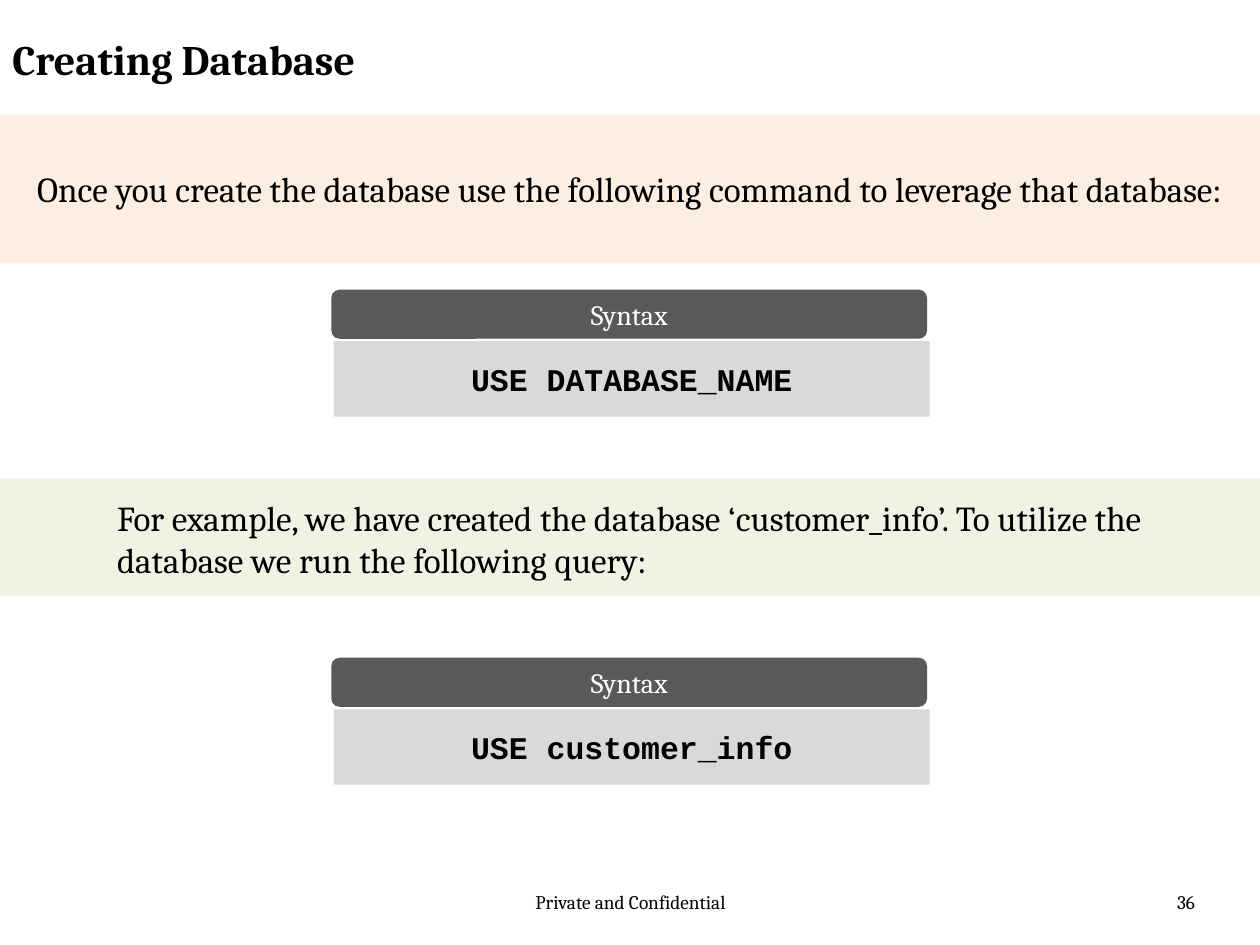
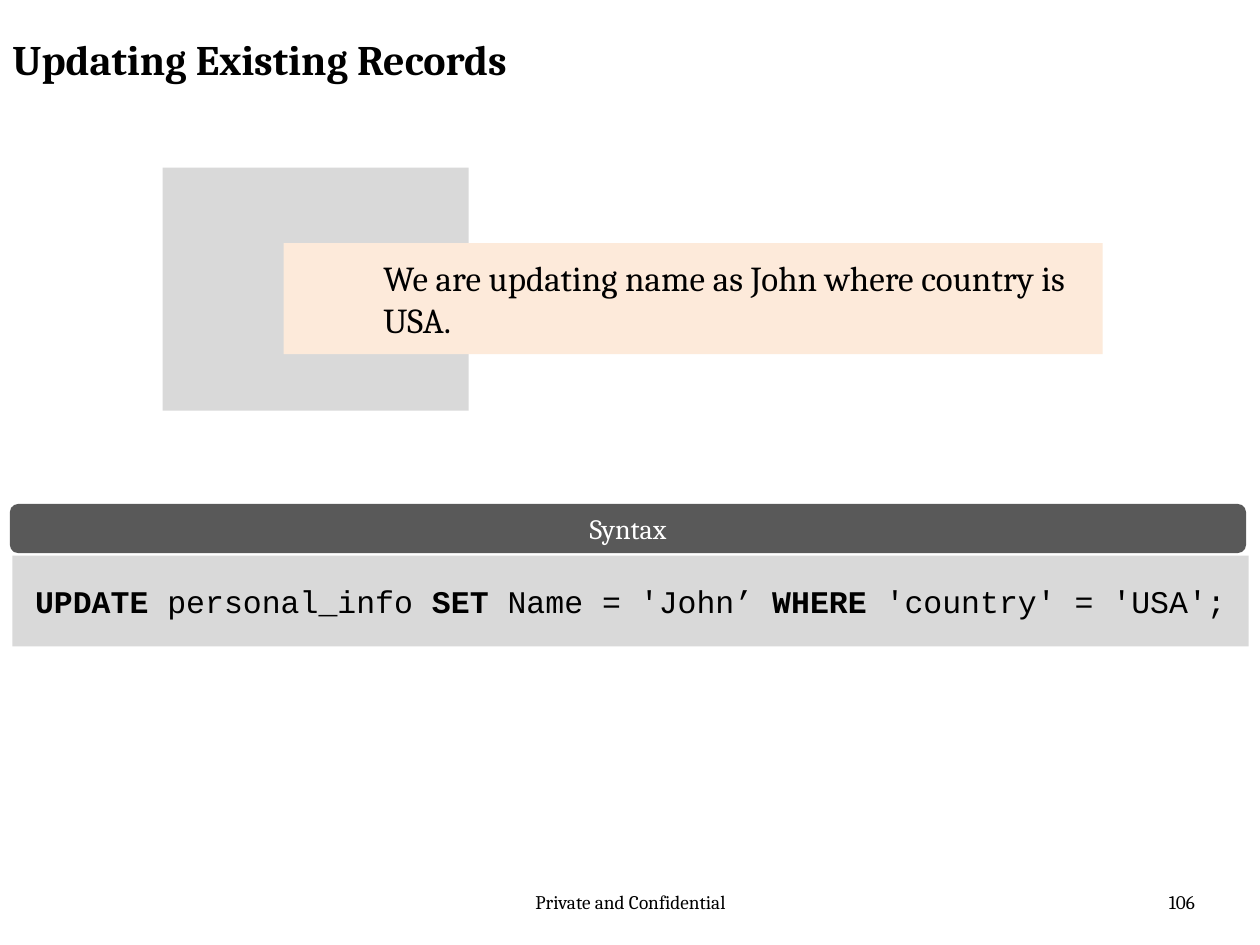
from dataclasses import dataclass
from typing import Optional

from lxml.etree import SubElement
from pptx import Presentation
from pptx.dml.color import RGBColor
from pptx.enum.shapes import MSO_SHAPE
from pptx.enum.text import MSO_ANCHOR, PP_ALIGN
from pptx.oxml.ns import qn
from pptx.shapes.autoshape import Shape
from pptx.slide import Slide
from pptx.util import Cm, Pt

COLORS = {
    "text": "000000",
    "header_text": "FFFFFF",
    "header": "595959",
    "panel": "D9D9D9",
    "peach": "FDEADA",
    "green": "EBF1DE",
}
SERIF, MONO = "Cambria", "Courier New"
SLIDE_WIDTH, SLIDE_HEIGHT = 25.4, 19.05
BAND_OPACITY = 79
HEADER_HEIGHT, CODE_OFFSET = 0.99, 0.05


@dataclass(frozen=True)
class Box:
    """Position and size in centimetres."""
    left: float
    top: float
    width: float
    height: float

    def lengths(self) -> tuple[Cm, Cm, Cm, Cm]:
        return Cm(self.left), Cm(self.top), Cm(self.width), Cm(self.height)


@dataclass(frozen=True)
class Run:
    text: str
    bold: bool = False


@dataclass(frozen=True)
class SyntaxBlock:
    """A dark "Syntax" header with a panel of code below it."""
    left: float
    top: float
    width: float
    code_height: float
    code: tuple[Run, ...]


TITLE = Box(0, 0.56, 19.28, 1.57)
FOOTER = Box(8.69, 17.83, 8.05, 1.02)
PAGE_NUMBER = Box(18.42, 17.83, 5.92, 1.02)

DATABASE_SYNTAX = [
    SyntaxBlock(6.68, top, 12.01, 1.52, (Run(code, bold=True),))
    for top, code in ((5.84, "USE DATABASE_NAME"), (13.26, "USE customer_info"))
]
UPDATE_SYNTAX = SyntaxBlock(0.2, 10.16, 24.92, 1.83, (
    Run("UPDATE ", bold=True),
    Run("personal_info "),
    Run("SET", bold=True),
    Run(" Name = 'John’ "),
    Run("WHERE", bold=True),
    Run(" 'country' = 'USA';"),
))


def write(shape: Shape, *runs: Run, size: int = 20, font: str = SERIF,
          color: str = "text", align: PP_ALIGN = PP_ALIGN.LEFT,
          anchor: MSO_ANCHOR = MSO_ANCHOR.MIDDLE, inset_left: float = 0.25) -> None:
    frame = shape.text_frame
    frame.word_wrap = True
    frame.vertical_anchor = anchor
    frame.margin_left = Cm(inset_left)
    paragraph = frame.paragraphs[0]
    paragraph.alignment = align
    for part in runs:
        run = paragraph.add_run()
        run.text = part.text
        run.font.name = font
        run.font.size = Pt(size)
        run.font.bold = part.bold
        run.font.color.rgb = RGBColor.from_string(COLORS[color])


def add_text(slide: Slide, box: Box, *runs: Run, **style) -> None:
    write(slide.shapes.add_textbox(*box.lengths()), *runs,
          anchor=MSO_ANCHOR.TOP, **style)


def add_filled(slide: Slide, box: Box, color: str,
               preset: MSO_SHAPE = MSO_SHAPE.RECTANGLE,
               opacity: Optional[int] = None) -> Shape:
    shape = slide.shapes.add_shape(preset, *box.lengths())
    shape.shadow.inherit = False
    shape.line.fill.background()
    shape.fill.solid()
    shape.fill.fore_color.rgb = RGBColor.from_string(COLORS[color])
    if opacity is not None:
        fill_color = shape.fill._xPr.find(qn("a:solidFill"))[0]
        SubElement(fill_color, qn("a:alpha")).set("val", str(opacity * 1000))
    return shape


def add_band(slide: Slide, top: float, height: float, color: str) -> Shape:
    """Add a translucent band across the full slide width."""
    return add_filled(slide, Box(0, top, SLIDE_WIDTH, height), color,
                      opacity=BAND_OPACITY)


def add_syntax(slide: Slide, block: SyntaxBlock) -> None:
    header = add_filled(
        slide, Box(block.left, block.top, block.width, HEADER_HEIGHT),
        "header", MSO_SHAPE.ROUNDED_RECTANGLE)
    write(header, Run("Syntax"), size=16, color="header_text",
          align=PP_ALIGN.CENTER)
    code_box = Box(block.left + CODE_OFFSET,
                   block.top + HEADER_HEIGHT + CODE_OFFSET,
                   block.width, block.code_height)
    code = add_filled(slide, code_box, "panel", MSO_SHAPE.ROUNDED_RECTANGLE)
    code.adjustments[0] = 0
    write(code, *block.code, size=18, font=MONO, align=PP_ALIGN.CENTER)


def add_slide(deck: Presentation, title: str, number: int) -> Slide:
    """Add a blank slide with the shared title, footer and page number."""
    slide = deck.slides.add_slide(deck.slide_layouts[6])
    add_text(slide, FOOTER, Run("Private and Confidential"), size=11,
             align=PP_ALIGN.CENTER)
    add_text(slide, PAGE_NUMBER, Run(str(number)), size=11,
             align=PP_ALIGN.RIGHT)
    add_text(slide, TITLE, Run(title, bold=True), size=24)
    return slide


def build_creating_database(deck: Presentation) -> None:
    slide = add_slide(deck, "Creating Database", 36)
    intro = add_band(slide, 2.31, 3, "peach")
    write(intro, Run("Once you create the database use the following command "
                     "to leverage that database:"), align=PP_ALIGN.CENTER)
    add_band(slide, 9.65, 2.36, "green")
    add_text(slide, Box(2.11, 9.88, 21.79, 1.96),
             Run("For example, we have created the database ‘customer_info’. "
                 "To utilize the database we run the following query:"))
    for block in DATABASE_SYNTAX:
        add_syntax(slide, block)


def build_updating_records(deck: Presentation) -> None:
    slide = add_slide(deck, "Updating Existing Records", 106)
    add_filled(slide, Box(3.28, 3.38, 6.17, 4.9), "panel")
    statement = add_filled(slide, Box(5.72, 4.9, 16.51, 2.24), "peach")
    write(statement, Run("We are updating name as John where country is USA."),
          inset_left=2.01)
    add_syntax(slide, UPDATE_SYNTAX)


def main() -> None:
    deck = Presentation()
    deck.slide_width, deck.slide_height = Cm(SLIDE_WIDTH), Cm(SLIDE_HEIGHT)
    build_creating_database(deck)
    build_updating_records(deck)
    deck.save("out.pptx")


if __name__ == "__main__":
    main()
